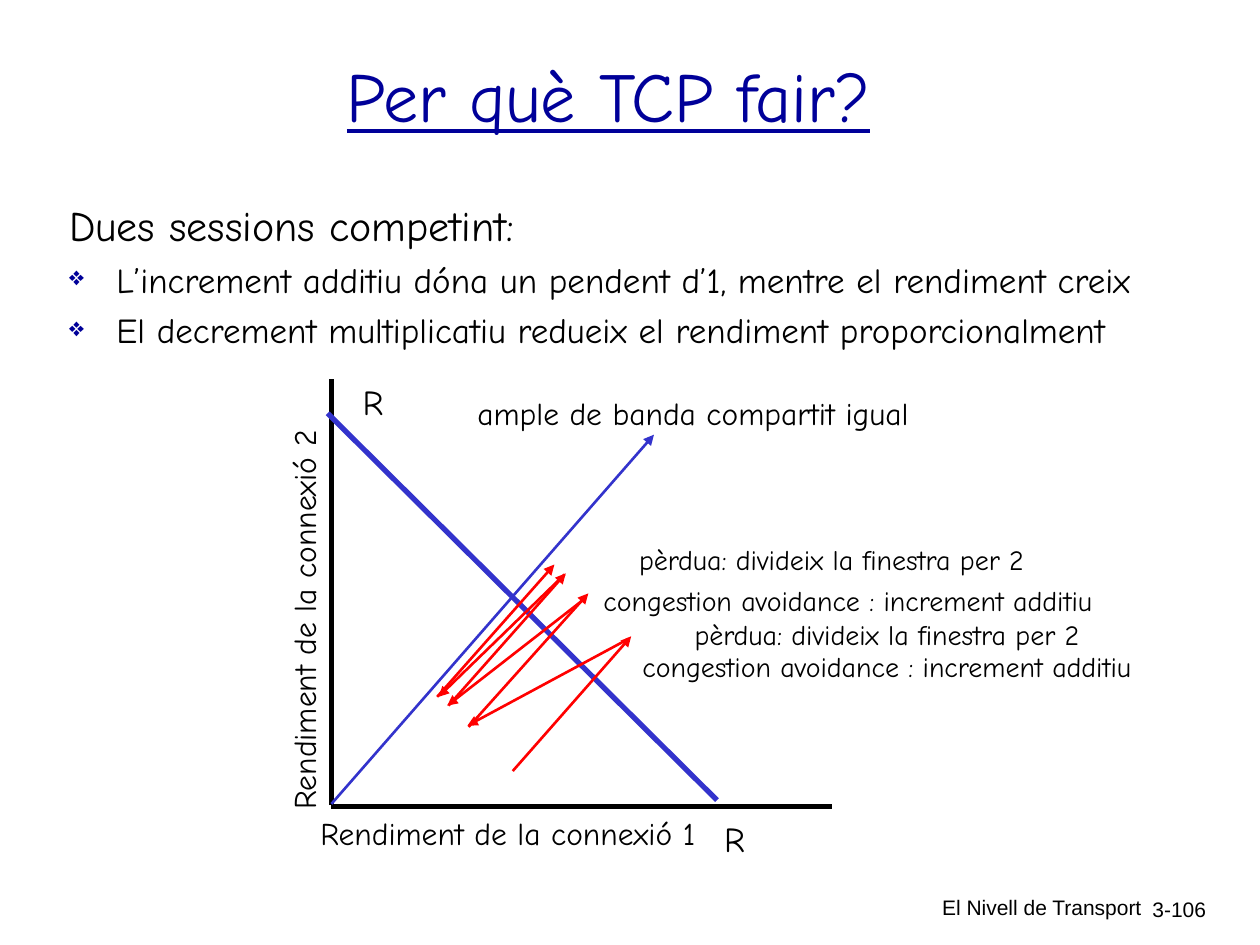
from lxml.etree import SubElement
from pptx import Presentation
from pptx.dml.color import RGBColor
from pptx.enum.shapes import MSO_CONNECTOR
from pptx.enum.text import MSO_ANCHOR, PP_ALIGN
from pptx.oxml.ns import qn
from pptx.util import Pt

BLACK = RGBColor(0x00, 0x00, 0x00)
NAVY = RGBColor(0x00, 0x00, 0x99)
BLUE = RGBColor(0x33, 0x33, 0xCC)
RED = RGBColor(0xFF, 0x00, 0x00)
HAND, SANS = "Comic Neue", "Arial"
CENTER, RIGHT = PP_ALIGN.CENTER, PP_ALIGN.RIGHT

TITLE = "Per què TCP fair?"
INTRO = "Dues sessions competint:"
BULLETS = [
    "L’increment additiu dóna un pendent d’1, mentre el rendiment creix",
    "El decrement multiplicatiu redueix el rendiment proporcionalment",
]
INCREASE = "congestion avoidance : increment additiu"
LOSS = "pèrdua: divideix la finestra per 2"

# text, (left, top, width, height), size, rotation
LABELS = [
    (INCREASE, (328.3, 367.9, 357.1, 26.6), 16, 0),
    (LOSS, (384.5, 349.2, 244.8, 26.6), 16, 0),
    (INCREASE, (306, 329.8, 357.1, 26.6), 16, 0),
    (LOSS, (352.8, 306.7, 244.8, 26.6), 16, 0),
    ("ample de banda compartit igual", (256.3, 221.8, 279.4, 28.8), 18, 0),
    ("Rendiment de la connexió 1", (150.5, 461.5, 279.4, 28.8), 18, 0),
    ("Rendiment de la connexió 2", (33.8, 339.8, 279.4, 28.8), 18, 270),
    ("R", (403.9, 463.7, 31.7, 31.7), 20, 0),
    ("R", (197.3, 213.8, 31.7, 31.7), 20, 0),
]
FOOTERS = [
    ("El Nivell de Transport", (431.3, 507.6, 228.2, 22.3)),
    ("3-106", (643, 509, 53.3, 21.6)),
]

# start, end
AXES = [
    ((189.4, 460.8), (475.2, 460.8)),
    ((189.4, 460.1), (189.4, 216.7)),
]
FAIR_SHARE = ((189.4, 459.4), (373.7, 248.4))
FULL_USE = ((187.2, 236.2), (409.7, 457.2))
WINDOW_STEPS = [
    ((293, 440.6), (360.7, 363.6)),
    ((359.3, 365), (267.1, 414.7)),
    ((267.8, 415.4), (336.2, 339.1)),
    ((333.4, 342.7), (255.6, 403.2)),
    ((256.3, 403.2), (323.3, 327.6)),
    ((322.6, 328.3), (250.6, 398.2)),
    ((249.8, 398.2), (316.8, 322.6)),
]


def place(shape, area):
    shape.left, shape.top, shape.width, shape.height = map(Pt, area)


def style(paragraph, size, name=HAND, color=BLACK, align=None):
    paragraph.alignment = align
    font = paragraph.font
    font.size, font.name, font.color.rgb = Pt(size), name, color


def add_text(slide, area):
    box = slide.shapes.add_textbox(*map(Pt, area))
    box.text_frame.word_wrap = True
    return box


def add_line(slide, ends, color, width, arrow=False):
    start, end = ends
    line = slide.shapes.add_connector(MSO_CONNECTOR.STRAIGHT, *map(Pt, start + end))
    line.line.color.rgb = color
    line.line.width = Pt(width)
    properties = line._element.spPr
    if arrow:
        SubElement(properties.find(qn("a:ln")), qn("a:tailEnd"), type="triangle")
    SubElement(properties, qn("a:effectLst"))


def set_indent(paragraph, bullet=None):
    """Hang the first line, with a coloured bullet if one is given."""
    properties = paragraph._p.get_or_add_pPr()
    properties.set("marL", str(Pt(27)))
    properties.set("indent", str(-Pt(27)))
    if bullet:
        color = SubElement(properties, qn("a:buClr"))
        SubElement(color, qn("a:srgbClr"), val=str(NAVY))
        SubElement(properties, qn("a:buSzPct"), val="75000")
        SubElement(properties, qn("a:buChar"), char=bullet)


def add_title(slide):
    title = slide.shapes.title
    place(title, (41.8, 18, 612, 72))
    title.text_frame.text = TITLE
    title.text_frame.vertical_anchor = MSO_ANCHOR.MIDDLE
    paragraph = title.text_frame.paragraphs[0]
    style(paragraph, 40, color=NAVY, align=CENTER)
    paragraph.font.underline = True


def add_body(slide):
    frame = add_text(slide, (32.4, 110.2, 669.6, 100)).text_frame
    frame.text = "\n".join([INTRO] + BULLETS)
    intro, *points = frame.paragraphs
    set_indent(intro)
    style(intro, 24)
    for point in points:
        set_indent(point, "❖")
        style(point, 20)
        point.space_before = Pt(5)


def add_chart_lines(slide):
    for axis in AXES:
        add_line(slide, axis, BLACK, 3)
    add_line(slide, FAIR_SHARE, BLUE, 1.5, arrow=True)
    add_line(slide, FULL_USE, BLUE, 3)
    for step in WINDOW_STEPS:
        add_line(slide, step, RED, 1.5, arrow=True)


def main():
    deck = Presentation()
    deck.slide_width, deck.slide_height = Pt(720), Pt(540)
    slide = deck.slides.add_slide(deck.slide_layouts[5])
    add_title(slide)
    add_body(slide)
    add_chart_lines(slide)
    for text, area, size, rotation in LABELS:
        box = add_text(slide, area)
        box.rotation = rotation
        box.text_frame.text = text
        style(box.text_frame.paragraphs[0], size, align=CENTER)
    for text, area in FOOTERS:
        box = add_text(slide, area)
        box.text_frame.text = text
        style(box.text_frame.paragraphs[0], 12, SANS, align=RIGHT)
    deck.save("out.pptx")


if __name__ == "__main__":
    main()
